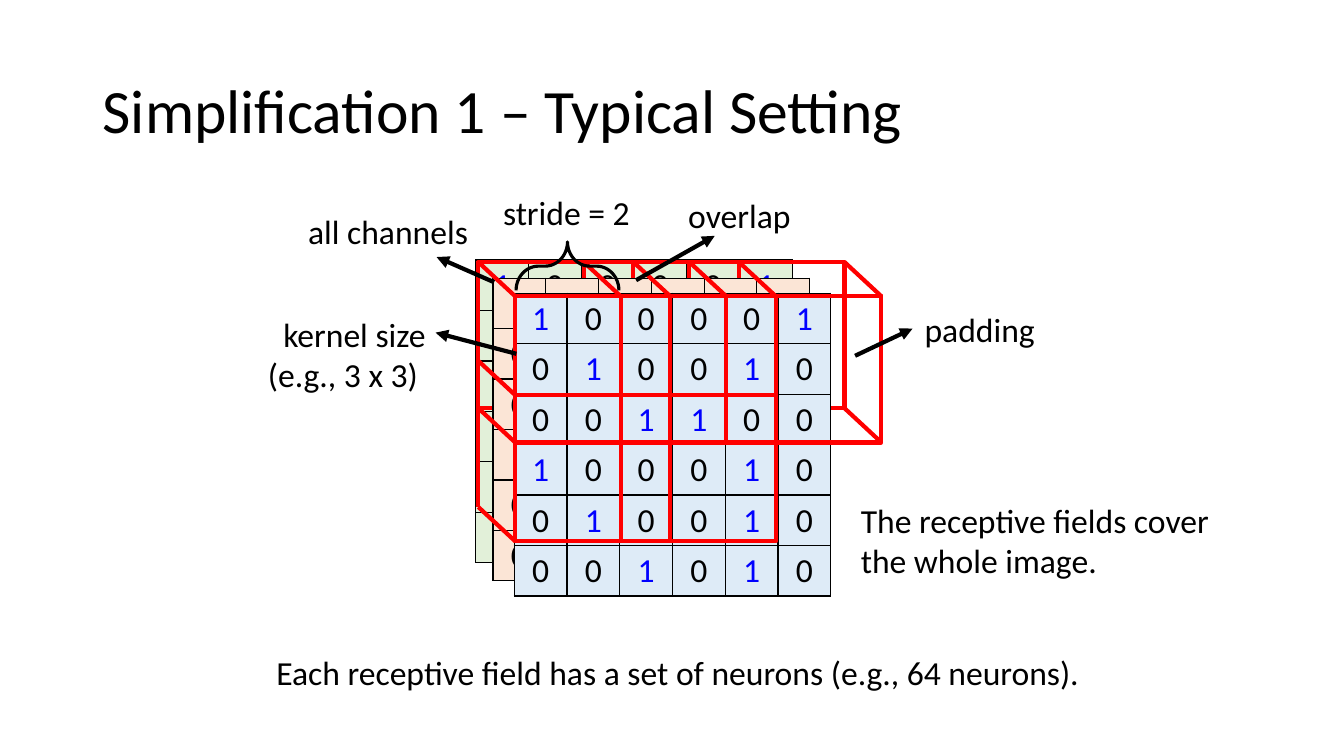
from dataclasses import dataclass

from lxml import etree
from pptx import Presentation
from pptx.dml.color import RGBColor
from pptx.enum.shapes import MSO_CONNECTOR, MSO_SHAPE
from pptx.enum.text import MSO_ANCHOR, PP_ALIGN
from pptx.oxml.ns import qn
from pptx.util import Inches, Pt

STRAIGHT = MSO_CONNECTOR.STRAIGHT
RECTANGLE, BRACE = MSO_SHAPE.RECTANGLE, MSO_SHAPE.RIGHT_BRACE
LEFT, CENTER, RIGHT = PP_ALIGN.LEFT, PP_ALIGN.CENTER, PP_ALIGN.RIGHT
TOP, MIDDLE = MSO_ANCHOR.TOP, MSO_ANCHOR.MIDDLE
SLIDE_W, SLIDE_H = Inches(13.33), Inches(7.5)


@dataclass(frozen=True)
class Theme:
    font: str = "Calibri"
    ink: str = "000000"
    one: str = "0000FF"
    field: str = "FF0000"
    green: str = "E2F0D9"
    orange: str = "FBE5D6"
    blue: str = "DEEBF7"
    title_size: int = 44
    text_size: int = 24
    line: float = 3
    brace_line: float = 2.25
    border: float = 1


THEME = Theme()
PIXELS = ["100001", "010010", "001100", "100010", "010010", "001010"]
SIDE = len(PIXELS)

# Receptive fields, in pixels of the front channel
FIELD_ORIGIN = (0.02, 0.06)
FIELD_STEP = (2, 1.96)
FIELD_SIZE = (2.94, 2.9)
DEPTH = (0.7, 0.68)
TOP_FIELDS = [(0, 0), (1, 0), (2, 0)]
LOWER_FIELDS = [(0, 1), (1, 1)]


@dataclass(frozen=True)
class Box:
    """A square grid of pixels; places are columns and rows from its corner."""
    left: int
    top: int
    width: int
    height: int

    def size(self, columns, rows):
        return int(columns * self.width / SIDE), int(rows * self.height / SIDE)

    def point(self, column, row):
        x, y = self.size(column, row)
        return self.left + x, self.top + y

    def area(self, column, row, columns, rows):
        return *self.point(column, row), *self.size(columns, rows)


def style_text(frame, text, size, align, color=THEME.ink):
    frame.text = text
    paragraph = frame.paragraphs[0]
    paragraph.alignment = align
    paragraph.font.name = THEME.font
    paragraph.font.size = Pt(size)
    paragraph.font.color.rgb = RGBColor.from_string(color)
    return paragraph


def add_label(slide, area, text, align=LEFT, size=THEME.text_size, anchor=TOP):
    frame = slide.shapes.add_textbox(*area).text_frame
    frame.word_wrap = True
    frame.vertical_anchor = anchor
    return style_text(frame, text, size, align)


def add_line(slide, start, end, color, arrow=False):
    line = slide.shapes.add_connector(STRAIGHT, *start, *end)
    line.line.color.rgb = RGBColor.from_string(color)
    line.line.width = Pt(THEME.line)
    if arrow:
        etree.SubElement(line.line._get_or_add_ln(), qn("a:tailEnd"), type="triangle")
    etree.SubElement(line._element.spPr, qn("a:effectLst"))


def add_outline(slide, kind, area, color, width):
    outline = slide.shapes.add_shape(kind, *area)
    outline.shadow.inherit = False
    outline.fill.background()
    outline.line.color.rgb = RGBColor.from_string(color)
    outline.line.width = Pt(width)
    return outline


def add_borders(cell):
    properties = cell._tc.get_or_add_tcPr()
    for side in ("lnL", "lnR", "lnT", "lnB"):
        border = etree.SubElement(properties, qn(f"a:{side}"), w=str(Pt(THEME.border)))
        fill = etree.SubElement(border, qn("a:solidFill"))
        etree.SubElement(fill, qn("a:srgbClr"), val=THEME.ink)


def add_channel(slide, area, color):
    table = slide.shapes.add_table(SIDE, SIDE, *area).table
    table.first_row = table.horz_banding = False
    for r, row in enumerate(PIXELS):
        for c, pixel in enumerate(row):
            cell = table.cell(r, c)
            add_borders(cell)
            cell.fill.solid()
            cell.fill.fore_color.rgb = RGBColor.from_string(color)
            style_text(cell.text_frame, pixel, THEME.text_size, CENTER,
                       THEME.one if pixel == "1" else THEME.ink)


def field_corner(field, right=0, bottom=0, back=0):
    """Column and row of one corner of a receptive field."""
    return tuple(origin + step * place + size * far - depth * back
                 for origin, step, place, size, far, depth in
                 zip(FIELD_ORIGIN, FIELD_STEP, field, FIELD_SIZE, (right, bottom), DEPTH))


def draw_fields(slide, box, fields, back=0):
    for field in fields:
        area = box.area(*field_corner(field, back=back), *FIELD_SIZE)
        add_outline(slide, RECTANGLE, area, THEME.field, THEME.line)


def draw_stack(slide, box):
    # Channels from back to front, with the far field faces between them
    add_channel(slide, box.area(-0.73, -0.66, SIDE, SIDE), THEME.green)
    draw_fields(slide, box, TOP_FIELDS, back=1)
    add_channel(slide, box.area(-0.4, -0.3, SIDE, SIDE), THEME.orange)
    add_channel(slide, box.area(0, 0, SIDE, SIDE), THEME.blue)
    draw_fields(slide, box, TOP_FIELDS + LOWER_FIELDS)

    # Edges that join the far and near faces
    first, last, lower = TOP_FIELDS[0], TOP_FIELDS[-1], LOWER_FIELDS[0]
    corners = [(field, right, 0) for field in TOP_FIELDS for right in (0, 1)]
    corners += [(first, 0, 1), (last, 1, 1), (lower, 0, 0), (lower, 0, 1)]
    for corner in corners:
        add_line(slide, box.point(*field_corner(*corner, back=1)),
                 box.point(*field_corner(*corner)), THEME.field)
    add_line(slide, box.point(*field_corner(lower, back=1)),
             box.point(*field_corner(lower, bottom=1, back=1)), THEME.field)


def draw_annotations(slide, box):
    # Labels around the stack
    for place, text, align in [
        ((-4.3, -1.74, 3.82, 1), "all channels", CENTER),
        ((-0.92, -2.12, 3.82, 1), "stride = 2", CENTER),
        ((3.11, -2.06, 3.13, 1), "overlap", LEFT),
        ((-5.64, 0.3, 4.15, 1.82), "kernel size (e.g., 3 x 3) ", RIGHT),
        ((7.59, 0.22, 3.13, 1), "padding", LEFT),
        ((6.38, 4, 7.4, 1.82), "The receptive fields cover the whole image.", LEFT),
        ((-4.87, 7.02, 15.94, 1),
         "Each receptive field has a set of neurons (e.g., 64 neurons).", CENTER),
    ]:
        add_label(slide, box.area(*place), text, align)

    # Arrows to the labels
    for start, end in [
        ((0.04, 1.2), (-1.49, 0.78)),
        ((-0.38, -0.22), (-1.47, -0.72)),
        ((6.46, 1.24), (7.55, 0.7)),
        ((2.31, -0.26), (3.8, -1.14)),
    ]:
        add_line(slide, box.point(*start), box.point(*end), THEME.ink, arrow=True)

    # Stride brace over two columns
    brace = add_outline(slide, BRACE, box.area(0.55, -1.56, 0.92, 2.04),
                        THEME.ink, THEME.brace_line)
    brace.adjustments[0] = 0.46
    brace.rotation = 270


def draw_title(slide, area):
    title = add_label(slide, area, "Simplification 1 – Typical Setting",
                      size=THEME.title_size, anchor=MIDDLE)
    title.line_spacing = 0.9


def main():
    deck = Presentation()
    deck.slide_width, deck.slide_height = SLIDE_W, SLIDE_H
    slide = deck.slides.add_slide(deck.slide_layouts[6])
    stack = Box(Inches(5.1), Inches(2.91), Inches(3.14), Inches(3))
    draw_title(slide, (Inches(0.92), Inches(0.4), Inches(11.5), Inches(1.45)))
    draw_stack(slide, stack)
    draw_annotations(slide, stack)
    deck.save("out.pptx")


if __name__ == "__main__":
    main()
